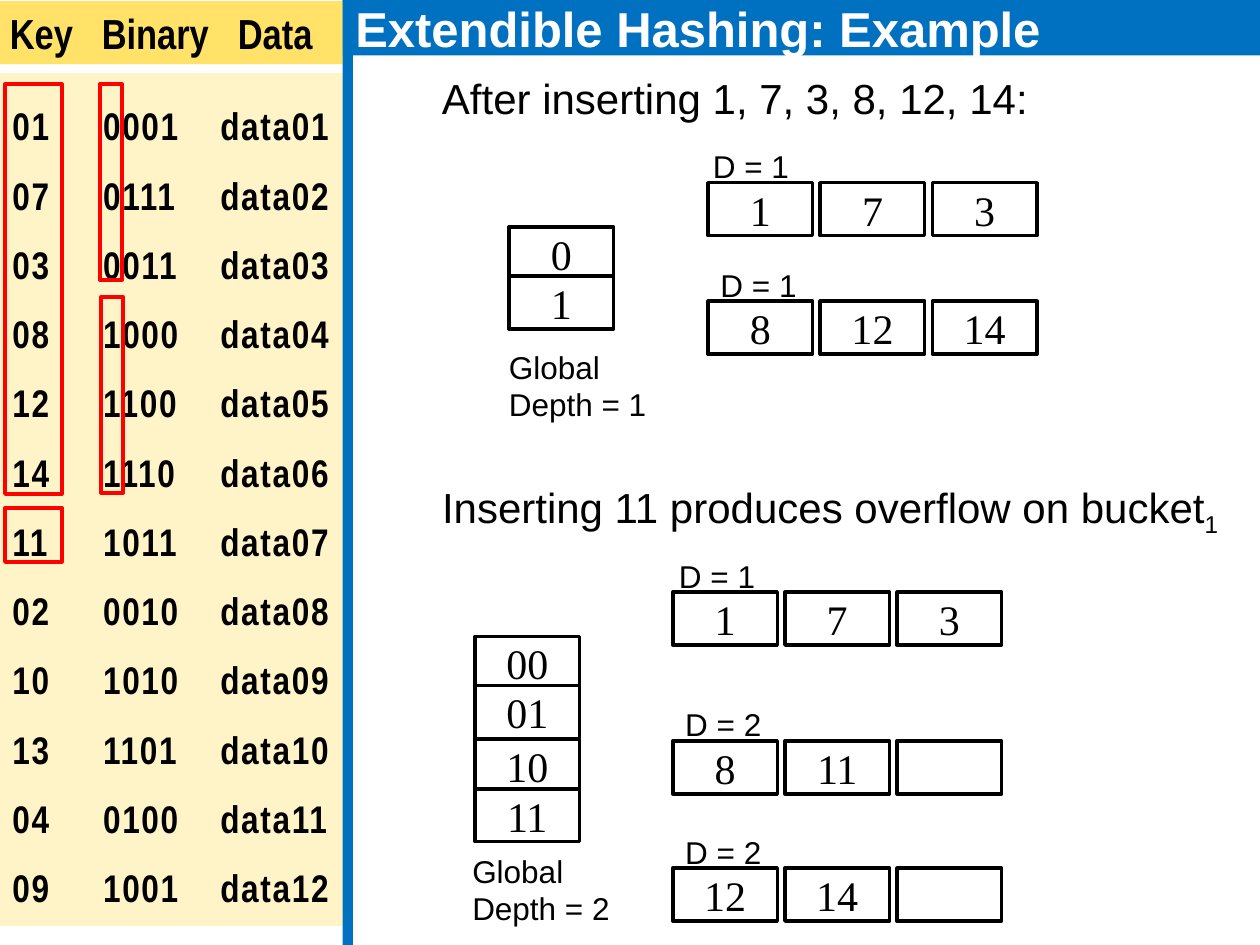
from lxml.etree import SubElement
from pptx import Presentation
from pptx.dml.color import RGBColor
from pptx.enum.shapes import MSO_SHAPE
from pptx.enum.text import MSO_ANCHOR, PP_ALIGN
from pptx.oxml.ns import qn
from pptx.util import Inches, Pt

BLUE = "0070C0"
CELL_WIDTH, CELL_HEIGHT = 0.83, 0.42
BUCKET_PITCH = 0.89
ROWS = [
    ("01", "0001", "data01"), ("07", "0111", "data02"), ("03", "0011", "data03"),
    ("08", "1000", "data04"), ("12", "1100", "data05"), ("14", "1110", "data06"),
    ("11", "1011", "data07"), ("02", "0010", "data08"), ("10", "1010", "data09"),
    ("13", "1101", "data10"), ("04", "0100", "data11"), ("09", "1001", "data12"),
]


def color(value):
    return RGBColor.from_string(value)


def add_span(para, text, font="Arial", size=24, ink="000000", bold=False,
             spacing=0, baseline=0):
    span = para.add_run()
    span.text = text
    span.font.name = font
    span.font.size = Pt(size)
    span.font.bold = bold
    span.font.color.rgb = color(ink)
    properties = span._r.get_or_add_rPr()
    if spacing:
        properties.set("spc", str(spacing * 100))
    if baseline:
        properties.set("baseline", str(baseline * 1000))


def write(box, lines, align=PP_ALIGN.LEFT, anchor=MSO_ANCHOR.TOP, wrap=True,
          line_spacing=None, tabs=(), **style):
    frame = box.text_frame
    frame.word_wrap = wrap
    frame.vertical_anchor = anchor
    for index, line in enumerate(lines):
        para = frame.add_paragraph() if index else frame.paragraphs[0]
        para.alignment = align
        if line_spacing:
            para.line_spacing = line_spacing
        if tabs:
            tab_list = SubElement(para._p.get_or_add_pPr(), qn("a:tabLst"))
            for position in tabs:
                SubElement(tab_list, qn("a:tab"), pos=str(Inches(position)), algn="l")
        for number, part in enumerate(line.split("\t")):
            add_span(para, "\t" + part if number else part, **style)


def add_rectangle(page, left, top, width, height, fill=None, line=None, weight=2):
    box = page.shapes.add_shape(MSO_SHAPE.RECTANGLE, Inches(left), Inches(top),
                                Inches(width), Inches(height))
    box.shadow.inherit = False
    if fill:
        box.fill.solid()
        box.fill.fore_color.rgb = color(fill)
    else:
        box.fill.background()
    if line:
        box.line.color.rgb = color(line)
        box.line.width = Pt(weight)
    else:
        box.line.fill.background()
    return box


def add_label(page, text, left, top, width, height, size=18):
    box = page.shapes.add_textbox(Inches(left), Inches(top), Inches(width), Inches(height))
    write(box, [text], align=PP_ALIGN.JUSTIFY, size=size)
    return box


def add_cell(page, text, left, top):
    box = add_rectangle(page, left, top, CELL_WIDTH, CELL_HEIGHT, "FFFFFF", "000000")
    if text:
        write(box, [text], align=PP_ALIGN.CENTER, anchor=MSO_ANCHOR.MIDDLE,
              wrap=False, font="Times New Roman")


def add_title(page, text, left, top, width, height):
    title = page.shapes.title
    title.left, title.top = Inches(left), Inches(top)
    title.width, title.height = Inches(width), Inches(height)
    title.fill.solid()
    title.fill.fore_color.rgb = color(BLUE)
    write(title, [text], anchor=MSO_ANCHOR.MIDDLE, size=28, ink="FFFFFF", bold=True)


def add_records(page, left, top, width, height):
    body = add_rectangle(page, left, top + 0.58, width, height - 0.58, "FFF4C8")
    write(body, ["\t".join(row) for row in ROWS], line_spacing=1.5, tabs=(0.72, 1.65),
          font="Arial Narrow", size=22, bold=True, spacing=1)
    header = add_rectangle(page, left - 0.02, top + 0.01, width - 0.02, 0.5, "FFE267")
    write(header, ["Key\tBinary\tData"], tabs=(0.73, 1.81), font="Arial Narrow", bold=True)


def add_directory(page, entries, left, top):
    for index, entry in enumerate(entries):
        pair, member = divmod(index, 2)
        add_cell(page, entry, left, top + 0.82 * pair + 0.39 * member)


def add_bucket(page, depth, values, left, top, label_shift=0):
    for index, value in enumerate(values):
        add_cell(page, value, left + BUCKET_PITCH * index, top)
    add_label(page, f"D = {depth}", left + label_shift, top - 0.33, 0.97, 0.4)


def add_first_state(page, left, top):
    add_label(page, "After inserting 1, 7, 3, 8, 12, 14:", left, top, 6.33, 0.5, size=24)
    add_directory(page, ["0", "1"], left + 0.63, top + 1.27)
    add_label(page, "Global Depth = 1", left + 0.53, top + 2.18, 1.53, 0.71)
    add_bucket(page, 1, ["1", "7", "3"], left + 2.21, top + 0.92, label_shift=-0.06)
    add_bucket(page, 1, ["8", "12", "14"], left + 2.21, top + 1.86)


def add_overflow_state(page, left, top):
    heading = add_label(page, "Inserting 11 produces overflow on bucket",
                        left, top, 6.51, 0.5, size=24)
    add_span(heading.text_frame.paragraphs[0], "1", baseline=-25)
    add_directory(page, ["00", "01", "10", "11"], left + 0.36, top + 1.28)
    add_label(page, "Global Depth = 2", left + 0.24, top + 2.94, 1.53, 0.71)
    add_bucket(page, 1, ["1", "7", "3"], left + 1.93, top + 0.93, label_shift=-0.05)
    add_bucket(page, 2, ["8", "11", ""], left + 1.93, top + 2.11)
    add_bucket(page, 2, ["12", "14", ""], left + 1.93, top + 3.12)


def add_highlights(page, boxes):
    for box in boxes:
        add_rectangle(page, *box, line="FF0000", weight=2.25)


def main():
    deck = Presentation()
    deck.slide_width, deck.slide_height = Inches(10), Inches(7.5)
    page = deck.slides.add_slide(deck.slide_layouts[5])
    add_title(page, "Extendible Hashing: Example", 2.72, 0, 7.28, 0.44)
    add_records(page, 0, 0, 2.76, 7.35)
    add_rectangle(page, 2.72, 0, 0.08, 7.5, BLUE)
    add_first_state(page, 3.41, 0.53)
    add_overflow_state(page, 3.41, 3.77)
    add_highlights(page, [
        (0.04, 0.67, 0.45, 3.25),
        (0.04, 4.03, 0.45, 0.43),
        (0.79, 0.67, 0.18, 1.55),
        (0.8, 2.36, 0.18, 1.55),
    ])
    deck.save("out.pptx")


if __name__ == "__main__":
    main()
